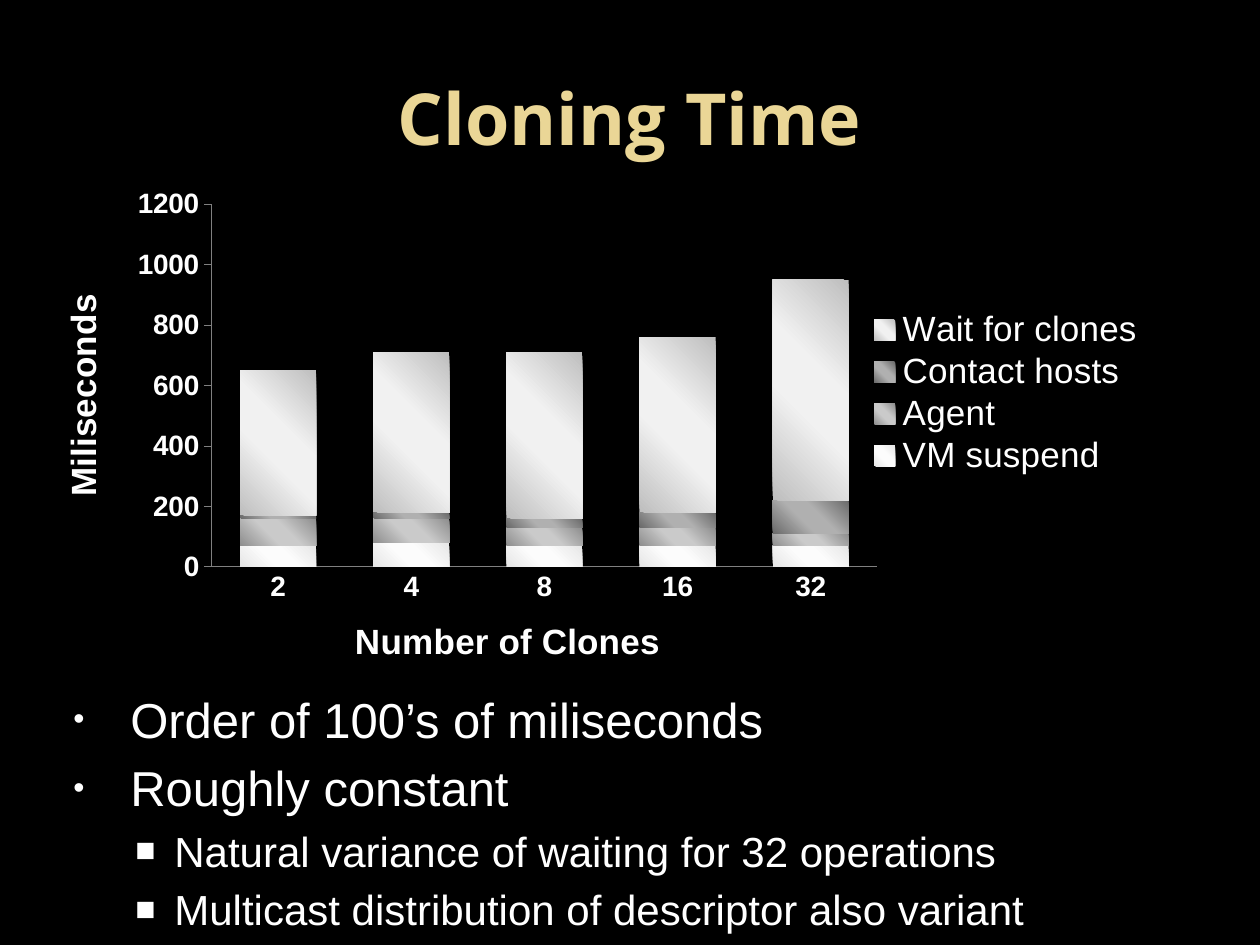
from dataclasses import dataclass

from lxml import etree
from pptx import Presentation
from pptx.chart.data import CategoryChartData as ChartData
from pptx.dml.color import RGBColor as Rgb
from pptx.enum.chart import XL_CHART_TYPE as Kind
from pptx.enum.chart import XL_LEGEND_POSITION as Side
from pptx.enum.chart import XL_TICK_MARK as Tick
from pptx.enum.text import MSO_ANCHOR as Anchor
from pptx.enum.text import PP_ALIGN as Align
from pptx.oxml import parse_xml
from pptx.oxml.ns import qn
from pptx.util import Pt

SCALE = 914400 / 126  # EMU in one px


def px(n):
    return round(n * SCALE)


@dataclass(frozen=True)
class Theme:
    back: str = "000000"
    text: str = "FFFFFF"
    gold: str = "EAD696"
    line: str = "808080"
    head: str = "Open Sans"
    body: str = "Arial"
    title: int = 41
    label: int = 20
    tick: int = 16
    # bullet sign, size in percent, text size, space before, margin, hang (px)
    levels: tuple = (("•", 65, 28, 5.6, 76, 57), ("■", 80, 24, 4.8, 120, 39))


def add(node, tag, **attrs):
    return etree.SubElement(node, qn(tag), {k: str(v) for k, v in attrs.items()})


class Deck:
    def __init__(self, theme, wide, high):
        self.theme = theme
        self.file = Presentation()
        self.file.slide_width, self.file.slide_height = px(wide), px(high)
        self.slide = None

    def page(self):
        self.slide = self.file.slides.add_slide(self.file.slide_layouts[5])
        fill = self.slide.background.fill
        fill.solid()
        fill.fore_color.rgb = Rgb.from_string(self.theme.back)

    def font(self, font, size, color=None, bold=False, name=None):
        font.name = name or self.theme.body
        font.size, font.bold = Pt(size), bold
        font.color.rgb = Rgb.from_string(color or self.theme.text)

    def title(self, text, *box):
        head = self.slide.shapes.title
        head.left, head.top, head.width, head.height = map(px, box)
        frame = head.text_frame
        frame.text, frame.vertical_anchor = text, Anchor.MIDDLE
        para = frame.paragraphs[0]
        para.alignment = Align.CENTER
        self.font(para.font, self.theme.title, self.theme.gold, True, self.theme.head)

    def list(self, items, *box):
        frame = self.slide.shapes.add_textbox(*map(px, box)).text_frame
        frame.word_wrap = True
        for i, (level, text) in enumerate(items):
            para = frame.add_paragraph() if i else frame.paragraphs[0]
            sign, pct, size, gap, left, hang = self.theme.levels[level]
            para.text, para.level, para.space_before = text, level, Pt(gap)
            self.font(para.font, size)
            prop = para._p.get_or_add_pPr()
            prop.set("marL", str(px(left)))
            prop.set("indent", str(-px(hang)))
            # Bullet parts go in ahead of the default run style
            marks = etree.Element("marks")
            add(add(marks, "a:buClr"), "a:srgbClr", val=self.theme.text)
            add(marks, "a:buSzPct", val=pct * 1000)
            add(marks, "a:buFont", typeface=self.theme.body)
            add(marks, "a:buChar", char=sign)
            last = prop.find(qn("a:defRPr"))
            for mark in list(marks):
                last.addprevious(mark)

    def axis(self, axis, text, tick):
        axis.has_title, axis.has_major_gridlines = True, False
        frame = axis.axis_title.text_frame
        frame.text = text
        self.font(frame.paragraphs[0].font, self.theme.label, bold=True)
        self.font(axis.tick_labels.font, self.theme.tick, bold=True)
        axis.major_tick_mark, axis.minor_tick_mark = tick, Tick.NONE
        axis.format.line.color.rgb = Rgb.from_string(self.theme.line)
        axis.format.line.width = Pt(0.5)

    def sheen(self, series, edge, core):
        """Fill a series from corner to corner, light in the middle."""
        fill = series.format.fill
        fill.gradient()
        fill.gradient_angle = 45
        stops = series._element.spPr.find(".//" + qn("a:gsLst"))
        for stop in list(stops):
            stops.remove(stop)
        for pos, color in ((0, edge), (40, core), (60, core), (100, edge)):
            add(add(stops, "a:gs", pos=pos * 1000), "a:srgbClr", val=color)

    def place(self, node, box, frame, inner=False):
        """Pin a chart part to a px box on the slide."""
        old = node.find(qn("c:layout"))
        if old is not None:
            node.remove(old)
        space = parse_xml(
            '<c:layout xmlns:c="http://schemas.openxmlformats.org/drawingml/2006/chart"/>')
        lay = add(space, "c:manualLayout")
        if inner:
            add(lay, "c:layoutTarget", val="inner")
        for key in "xy":
            add(lay, f"c:{key}Mode", val="edge")
        left, top, wide, high = frame
        parts = ((box[0] - left) / wide, (box[1] - top) / high, box[2] / wide, box[3] / high)
        for key, part in zip("xywh", parts):
            add(lay, f"c:{key}", val=round(part, 3))
        node.insert(0 if inner else 1, space)

    def chart(self, cats, rows, names, plot, key, *box):
        data = ChartData()
        data.categories = cats
        for name, vals, *_ in rows:
            data.add_series(name, vals)
        chart = self.slide.shapes.add_chart(
            Kind.COLUMN_STACKED, *map(px, box), data).chart
        chart.has_title = False
        self.font(chart.font, self.theme.tick)
        bars = chart.plots[0]
        bars.gap_width, bars.overlap, bars.vary_by_categories = 75, 100, False
        for series, (_, _, edge, core) in zip(bars.series, rows):
            self.sheen(series, edge, core)
        self.axis(chart.category_axis, names[0], Tick.NONE)
        self.axis(chart.value_axis, names[1], Tick.CROSS)
        scale = chart.value_axis
        scale.major_tick_mark = Tick.OUTSIDE
        scale.minimum_scale, scale.maximum_scale, scale.major_unit = 0, 1200, 200
        chart.has_legend = True
        chart.legend.position = Side.RIGHT
        chart.legend.include_in_layout = False
        self.font(chart.legend.font, self.theme.label)
        self.place(chart._chartSpace.chart.plotArea, plot, box, True)
        self.place(chart.legend._element, key, box)


def main():
    deck = Deck(Theme(), 1260, 945)
    deck.page()

    # Title
    deck.title("Cloning Time", 63, 38, 1134, 157)

    # Stacked times: name, values, edge and core shade
    rows = [
        ("VM suspend", (70, 80, 70, 70, 70), "E6E6E6", "FCFCFC"),
        ("Agent", (90, 80, 60, 60, 40), "8E8E8E", "CACACA"),
        ("Contact hosts", (10, 20, 30, 50, 110), "6A6A6A", "B0B0B0"),
        ("Wait for clones", (480, 530, 550, 580, 730), "BEBEBE", "F1F1F1"),
    ]
    deck.chart(("2", "4", "8", "16", "32"), rows, ("Number of Clones", "Miliseconds"),
               (211, 204, 666, 363), (866, 308, 280, 170), 32, 179, 1166, 514)

    # Findings
    deck.list([
        (0, "Order of 100’s of miliseconds"),
        (0, "Roughly constant"),
        (1, "Natural variance of waiting for 32 operations"),
        (1, "Multicast distribution of descriptor also variant"),
    ], 42, 683, 1134, 262)

    deck.file.save("out.pptx")


if __name__ == "__main__":
    main()
